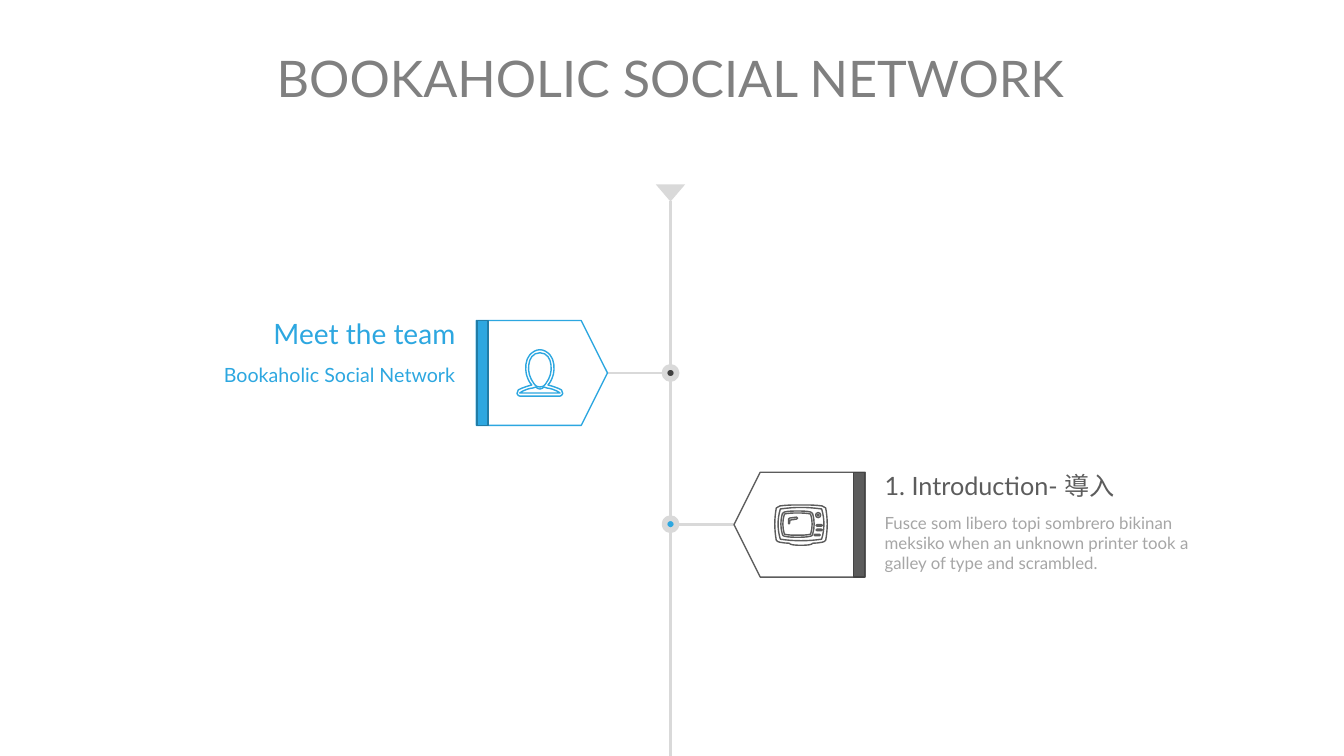
from pptx import Presentation
from pptx.dml.color import RGBColor
from pptx.enum.shapes import MSO_CONNECTOR, MSO_SHAPE
from pptx.enum.text import PP_ALIGN
from pptx.oxml.ns import qn
from pptx.util import Inches, Pt
from lxml import etree

STRAIGHT = MSO_CONNECTOR.STRAIGHT
ELLIPSE, RECT = MSO_SHAPE.OVAL, MSO_SHAPE.RECTANGLE
TRIANGLE, PENTAGON = MSO_SHAPE.ISOSCELES_TRIANGLE, MSO_SHAPE.FLOWCHART_OFFPAGE_CONNECTOR
LEFT, CENTER, RIGHT = PP_ALIGN.LEFT, PP_ALIGN.CENTER, PP_ALIGN.RIGHT

WHITE = RGBColor(0xFF, 0xFF, 0xFF)
RAIL = RGBColor(0xD9, 0xD9, 0xD9)
TITLE = RGBColor(0x80, 0x80, 0x80)
BODY = RGBColor(0xA6, 0xA6, 0xA6)
DARK = RGBColor(0x3F, 0x3F, 0x3F)
BLUE = RGBColor(0x2D, 0xA7, 0xE0)
BLUE_EDGE = RGBColor(0x21, 0x7C, 0xA6)
GREY = RGBColor(0x5C, 0x5C, 0x5C)
GREY_EDGE = RGBColor(0x44, 0x44, 0x44)

CELL = Inches(0.1)
COLUMNS, ROWS = 133.3, 75
AXIS = 66.5
NODE = 1.2
TAG_LENGTH, TAG_HEIGHT = 13, 10.4

PERSON = [
    [(0, 0), (0.4, 0), (0.7, 0.2), (1, 0.5), (1.45, 1), (1.45, 1.9), (1.35, 2.4),
     (1.25, 2.75), (1.1, 3.2), (0.8, 3.5), (1.6, 3.7), (2.1, 3.95), (2.15, 4),
     (2.25, 4.1), (2.3, 4.2), (2.27, 4.35), (2.2, 4.5), (2.1, 4.6), (2, 4.6),
     (1.3, 4.6), (0.7, 4.6), (0, 4.6)],
    [(0, 0.3), (0.7, 0.3), (1.05, 0.9), (1.1, 1.5), (1.2, 2.2), (1, 2.8), (0.6, 3.35),
     (0.4, 3.65), (0.2, 3.7), (0, 3.7)],
    [(0, 3.9), (0.15, 3.9), (0.3, 3.8), (0.4, 3.7), (0.5, 3.75), (0.6, 3.75), (0.7, 3.8),
     (1.5, 3.9), (1.95, 4.25), (2, 4.3), (1.3, 4.3), (0.7, 4.3), (0, 4.3)],
]
TV_CASE = [
    [(0, 0), (0.75, 0), (1.45, 0), (2.1, 0.1), (2.25, 0.15), (2.35, 0.2), (2.45, 0.3),
     (2.65, 1.4), (2.65, 2.4), (2.45, 3.5), (2.35, 3.6), (2.25, 3.7), (2.1, 3.7),
     (1.8, 3.75), (1.5, 3.8), (1.15, 3.8), (1.1, 3.95), (0.65, 4), (0, 4)],
    [(0, 0.25), (0.7, 0.25), (1.35, 0.3), (2.05, 0.4), (2.35, 1.4), (2.35, 2.4), (2.05, 3.4),
     (1.35, 3.5), (0.7, 3.55), (0, 3.55)],
]
TV_SCREEN = [
    [(0, 0), (0.45, 0), (0.9, 0), (1.3, 0.1), (1.4, 0.15), (1.45, 0.2), (1.5, 0.25),
     (1.7, 0.95), (1.7, 1.65), (1.5, 2.3), (1.5, 2.4), (1.4, 2.5), (1.3, 2.5),
     (0.9, 2.6), (0.45, 2.6), (0, 2.6)],
    [(0, 0.2), (0.45, 0.2), (0.9, 0.2), (1.3, 0.3), (1.5, 0.95), (1.5, 1.65), (1.3, 2.3),
     (0.9, 2.4), (0.45, 2.4), (0, 2.4)],
]
KNOB = [
    [(0, 0), (0.33, 0), (0.33, 0.5), (0, 0.5)],
    [(0, 0.15), (0.13, 0.15), (0.13, 0.35), (0, 0.35)],
]
BUTTON = [
    [(0, 0), (0.1, 0), (0.15, 0), (0.22, 0), (0.33, 0), (0.33, 0.15), (0.22, 0.15),
     (0.15, 0.15), (0.1, 0.15), (0, 0.15)],
]
GLARE = [(79, 51.3), (78.3, 51.4), (78.2, 51.5), (78.2, 51.95), (78.3, 51.95),
         (78.35, 51.6), (79, 51.5), (79.1, 51.4)]


class Canvas:
    """Draw styled elements on one slide, placed on a grid of cells."""

    def __init__(self, slide, font):
        self.s, self.font = slide, font

    def paint(self, sp, fill, line, weight):
        sp.shadow.inherit = False
        sp.fill.solid()
        sp.fill.fore_color.rgb = fill
        if line is None:
            sp.line.fill.background()
        else:
            sp.line.color.rgb = line
            sp.line.width = Pt(weight)

    def shape(self, kind, cx, cy, w, h, fill, line=None, weight=1, rotation=0):
        sp = self.s.shapes.add_shape(kind, *(round(v * CELL) for v in (cx - w / 2, cy - h / 2, w, h)))
        sp.rotation = rotation
        self.paint(sp, fill, line, weight)

    def rail(self, x1, y1, x2, y2):
        c = self.s.shapes.add_connector(STRAIGHT, *(round(v * CELL) for v in (x1, y1, x2, y2)))
        c.line.color.rgb = RAIL
        c.line.width = Pt(2)
        etree.SubElement(c._element.spPr, qn("a:effectLst"))

    def outline(self, contours, color):
        scaled = [[(round(x * CELL), round(y * CELL)) for x, y in c] for c in contours]
        builder = self.s.shapes.build_freeform(*scaled[0][0])
        for i, contour in enumerate(scaled):
            if i:
                builder.move_to(*contour[0])
            builder.add_line_segments(contour[1:], close=True)
        sp = builder.convert_to_shape()
        self.paint(sp, WHITE, color, 1)
        return sp

    def icon(self, halves, x, y, color):
        contours = [half + [(-px, py) for px, py in half[-2::-1]] for half in halves]
        sp = self.outline([[(x + px, y + py) for px, py in c] for c in contours], color)
        segments = list(sp._element.iter(qn("a:lnTo")))
        for first, second, third in zip(segments[::3], segments[1::3], segments[2::3]):
            curve = etree.Element(qn("a:cubicBezTo"))
            first.addprevious(curve)
            for segment in (first, second, third):
                curve.append(segment[0])
                segment.getparent().remove(segment)

    def tag(self, cx, cy, side, color, edge):
        self.shape(PENTAGON, cx, cy, TAG_HEIGHT, TAG_LENGTH, WHITE, color, rotation=side * 90 % 360)
        self.shape(RECT, cx + side * 5.9, cy, TAG_HEIGHT, 1.1, color, edge, rotation=side * 90 % 360)

    def text(self, x, y, w, h, lines, align, spacing=None, after=0):
        tf = self.s.shapes.add_textbox(*(round(v * CELL) for v in (x, y, w, h))).text_frame
        tf.word_wrap = True
        for i, (words, size, color) in enumerate(lines):
            p = tf.add_paragraph() if i else tf.paragraphs[0]
            p.alignment, p.line_spacing = align, spacing
            p.space_before, p.space_after = Pt(0.2 * size if i else 0), Pt(after)
            r = p.add_run()
            r.text = words
            r.font.name, r.font.size, r.font.color.rgb = self.font, Pt(size), color


def main():
    prs = Presentation()
    prs.slide_width, prs.slide_height = round(COLUMNS * CELL), ROWS * CELL
    canvas = Canvas(prs.slides.add_slide(prs.slide_layouts[6]), "Lato")

    canvas.shape(RECT, COLUMNS / 2, ROWS / 2, COLUMNS, ROWS, WHITE)
    canvas.text(23.6, 1.2, 85.8, 10.1, [("BOOKAHOLIC SOCIAL NETWORK", 36, TITLE)], CENTER, 1.5)

    for top, bottom in ((19.9, 36.4), (37.6, 51.2), (52.6, 75)):
        canvas.rail(AXIS, top, AXIS, bottom)
    canvas.shape(TRIANGLE, AXIS, 19.15, 2.9, 1.7, RAIL, rotation=180)

    stops = (
        (37, 53.75, 37, -1, DARK, BLUE, BLUE_EDGE),
        (52, 79.3, 52.05, 1, BLUE, GREY, GREY_EDGE),
    )
    for y, tag_x, tag_y, side, dot, color, edge in stops:
        canvas.rail(AXIS + side * NODE / 2, y, tag_x - side * TAG_LENGTH / 2, y)
        canvas.shape(ELLIPSE, AXIS, y, NODE, NODE, dot, RAIL, 4)
        canvas.tag(tag_x, tag_y, side, color, edge)

    canvas.icon(TV_SCREEN, 79.1, 50.7, GREY)
    canvas.icon(TV_CASE, 79.45, 50.1, GREY)
    canvas.icon(KNOB, 81.15, 50.85, GREY)
    for x, y in ((81.05, 53), (81.25, 52.5), (81.25, 52.05)):
        canvas.icon(BUTTON, x, y, GREY)
    canvas.outline([GLARE], GREY)

    canvas.text(10.65, 30.9, 35.5, 10.9, [
        ("Meet the team", 20, BLUE),
        ("Bookaholic Social Network", 14, BLUE),
    ], RIGHT, after=6)
    canvas.text(86.75, 46.2, 35.5, 10.9, [
        ("1. Introduction- 導入", 18, GREY),
        ("Fusce som libero topi sombrero bikinan meksiko when an unknown printer "
         "took a galley of type and scrambled.", 12, BODY),
    ], LEFT, after=6)
    canvas.icon(PERSON, 53.55, 34.7, BLUE)

    prs.save("out.pptx")


if __name__ == "__main__":
    main()
